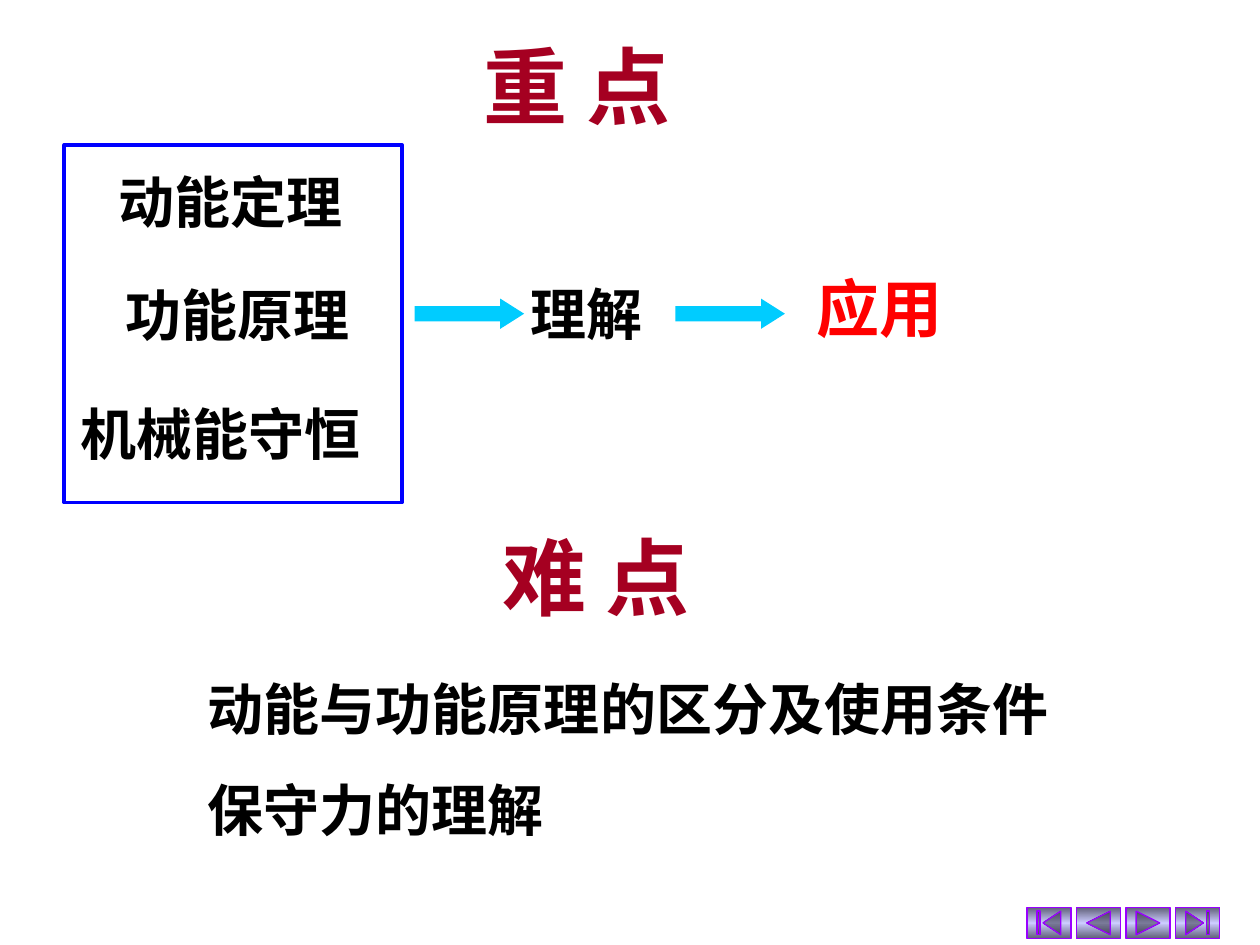
"""Build the slide of key points and difficult points in mechanics."""
from dataclasses import dataclass

from lxml.etree import SubElement
from pptx import Presentation
from pptx.dml.color import RGBColor
from pptx.enum.shapes import MSO_SHAPE
from pptx.enum.text import MSO_ANCHOR, MSO_AUTO_SIZE, PP_ALIGN
from pptx.oxml import parse_xml
from pptx.oxml.ns import nsdecls, qn
from pptx.slide import Slide
from pptx.text.text import TextFrame
from pptx.util import Inches, Pt

CELL = Inches(0.1)
COLUMNS, ROWS = 100, 75
BLACK = RGBColor(0x00, 0x00, 0x00)
RED = RGBColor(0xFF, 0x00, 0x00)
CRIMSON = RGBColor(0xA5, 0x00, 0x21)
BLUE = RGBColor(0x00, 0x00, 0xFF)
SKY = RGBColor(0x00, 0xCC, 0xFF)
PURPLE = RGBColor(0x99, 0x00, 0xFF)
SLATE = RGBColor(0x5E, 0x5E, 0x76)
LAVENDER = RGBColor(0xCC, 0xCC, 0xFF)
HEADING_FONT = "Noto Sans CJK SC"
TEXT_FONT = "Times New Roman"


@dataclass(frozen=True)
class Area:
    """A rectangle in grid columns and rows."""
    column: float
    row: float
    width: float
    height: float

    def lengths(self) -> tuple[int, ...]:
        """Return left, top, width and height as slide lengths."""
        return tuple(round(value * CELL) for value in
                     (self.column, self.row, self.width, self.height))


@dataclass(frozen=True)
class Label:
    """A single line of bold text."""
    text: str
    area: Area
    size: int = 32
    color: RGBColor = BLACK
    font: str = TEXT_FONT


def heading(text: str, column: float, row: float) -> Label:
    """Describe a large section heading."""
    return Label(text, Area(column, row, 17, 9), 48, CRIMSON, HEADING_FONT)


TITLE = heading("重 点", 37.4, 2.2)
LABELS = (
    Label("动能定理", Area(8.4, 12.8, 19.9, 6.3)),
    Label("功能原理", Area(9, 21.8, 19.9, 6.3)),
    Label("机械能守恒", Area(5.4, 31.2, 24.3, 6.3)),
    Label("理解", Area(41.1, 21.7, 10.9, 6.3)),
    Label("应用", Area(63.8, 20.9, 12, 7), 36, RED),
    heading("难 点", 38.9, 41.2),
)
DIFFICULTIES = ("动能与功能原理的区分及使用条件", "保守力的理解")
DIFFICULTY_AREA = Area(15.5, 50.8, 69, 16.2)
ARROW_COLUMNS = (32.9, 53.6)
THEOREM_FRAME = Area(5.1, 11.5, 26.8, 28.4)
BUTTONS = (
    MSO_SHAPE.ACTION_BUTTON_BEGINNING,
    MSO_SHAPE.ACTION_BUTTON_BACK_OR_PREVIOUS,
    MSO_SHAPE.ACTION_BUTTON_FORWARD_OR_NEXT,
    MSO_SHAPE.ACTION_BUTTON_END,
)


def place(shape, area: Area) -> None:
    """Move a shape to an area of the grid."""
    shape.left, shape.top, shape.width, shape.height = area.lengths()


def write_label(frame: TextFrame, label: Label) -> None:
    """Write a label into a text frame."""
    frame.text = label.text
    frame.auto_size = MSO_AUTO_SIZE.NONE
    frame.word_wrap = False
    frame.vertical_anchor = MSO_ANCHOR.MIDDLE
    paragraph = frame.paragraphs[0]
    paragraph.alignment = PP_ALIGN.LEFT
    font = paragraph.font
    font.name, font.size, font.bold = label.font, Pt(label.size), True
    font.color.rgb = label.color


def write_list(frame: TextFrame, lines: tuple[str, ...]) -> None:
    """Write evenly spaced lines without bullets."""
    frame.text = "\n".join(lines)
    frame.auto_size = MSO_AUTO_SIZE.NONE
    frame.word_wrap = False
    frame.vertical_anchor = MSO_ANCHOR.TOP
    frame.margin_top = frame.margin_bottom = 0
    for paragraph in frame.paragraphs:
        properties = paragraph._p.get_or_add_pPr()
        properties.set("marL", "0")
        properties.set("indent", "0")
        SubElement(properties, qn("a:buNone"))
        paragraph.space_before = Pt(0)
        paragraph.line_spacing = Pt(58)
        font = paragraph.font
        font.name, font.size, font.bold = TEXT_FONT, Pt(32), True
        font.color.rgb = BLACK


def add_arrow(slide: Slide, column: float) -> None:
    """Draw a block arrow on the middle line of the theorem frame."""
    area = Area(column, 23.7, 8.7, 2.4)
    shape = slide.shapes.add_shape(MSO_SHAPE.RIGHT_ARROW, *area.lengths())
    shape.shadow.inherit = False
    shape.adjustments[1] = 0.79
    shape.fill.solid()
    shape.fill.fore_color.rgb = SKY
    shape.line.fill.background()


def add_frame(slide: Slide, area: Area) -> None:
    """Draw an unfilled frame."""
    shape = slide.shapes.add_shape(MSO_SHAPE.RECTANGLE, *area.lengths())
    shape.shadow.inherit = False
    shape.fill.background()
    shape.line.color.rgb = BLUE
    shape.line.width = Pt(2)


def add_button(slide: Slide, kind: MSO_SHAPE, position: int) -> None:
    """Draw a navigation button with a mirrored vertical gradient."""
    area = Area(81.5 + 3.93 * position, 72, 3.5, 2.5)
    shape = slide.shapes.add_shape(kind, *area.lengths())
    shape.shadow.inherit = False
    shape.line.color.rgb = PURPLE
    shape.line.width = Pt(0.75)
    stops = "".join(
        f'<a:gs pos="{share * 1000}"><a:srgbClr val="{color}"/></a:gs>'
        for share, color in ((0, SLATE), (50, LAVENDER), (100, SLATE)))
    gradient = parse_xml(
        f'<a:gradFill {nsdecls("a")} rotWithShape="1"><a:gsLst>{stops}</a:gsLst>'
        '<a:lin ang="5400000" scaled="1"/></a:gradFill>')
    shape._element.spPr.find(qn("a:prstGeom")).addnext(gradient)


def main() -> None:
    """Build and save the presentation."""
    presentation = Presentation()
    presentation.slide_width = COLUMNS * CELL
    presentation.slide_height = ROWS * CELL
    slide = presentation.slides.add_slide(presentation.slide_layouts[1])
    for position, kind in enumerate(BUTTONS):
        add_button(slide, kind, position)
    title, body = slide.shapes.title, slide.placeholders[1]
    place(title, TITLE.area)
    write_label(title.text_frame, TITLE)
    place(body, DIFFICULTY_AREA)
    write_list(body.text_frame, DIFFICULTIES)
    for label in LABELS:
        box = slide.shapes.add_textbox(*label.area.lengths())
        write_label(box.text_frame, label)
    for column in ARROW_COLUMNS:
        add_arrow(slide, column)
    add_frame(slide, THEOREM_FRAME)
    presentation.save("out.pptx")


if __name__ == "__main__":
    main()
